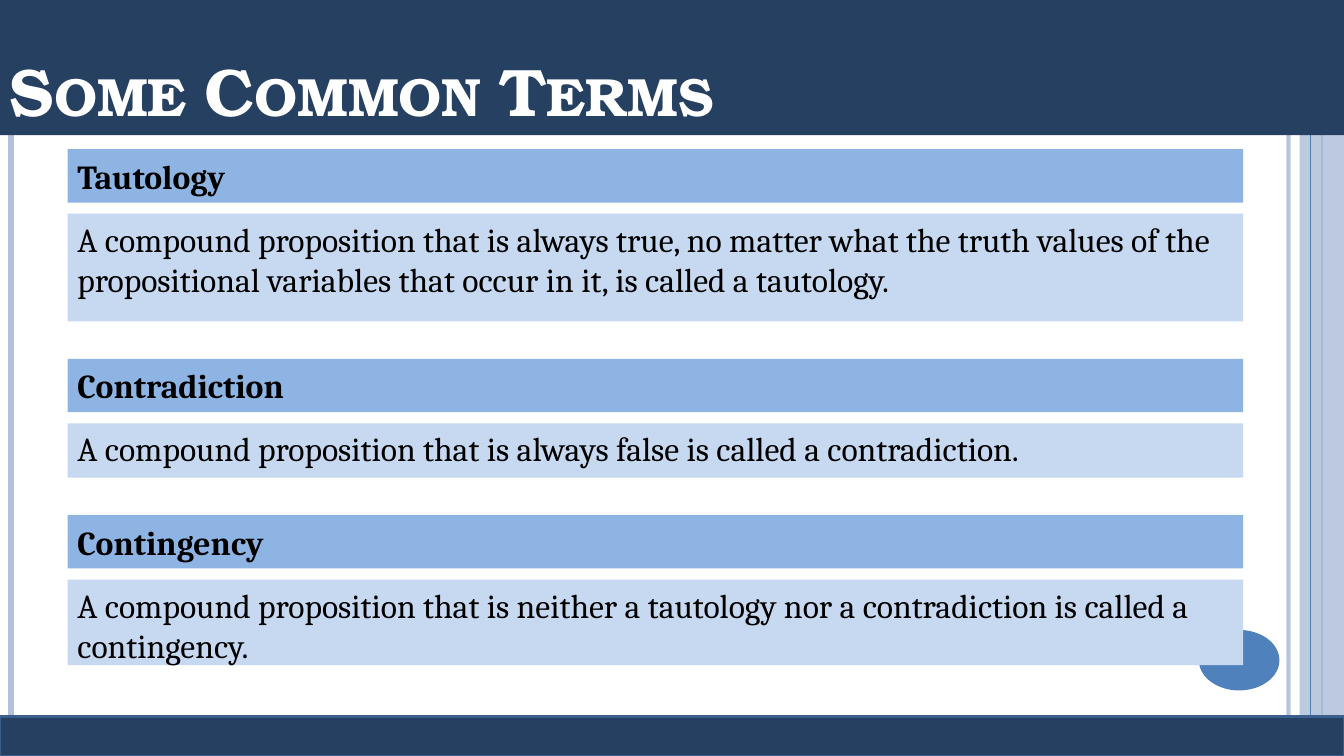
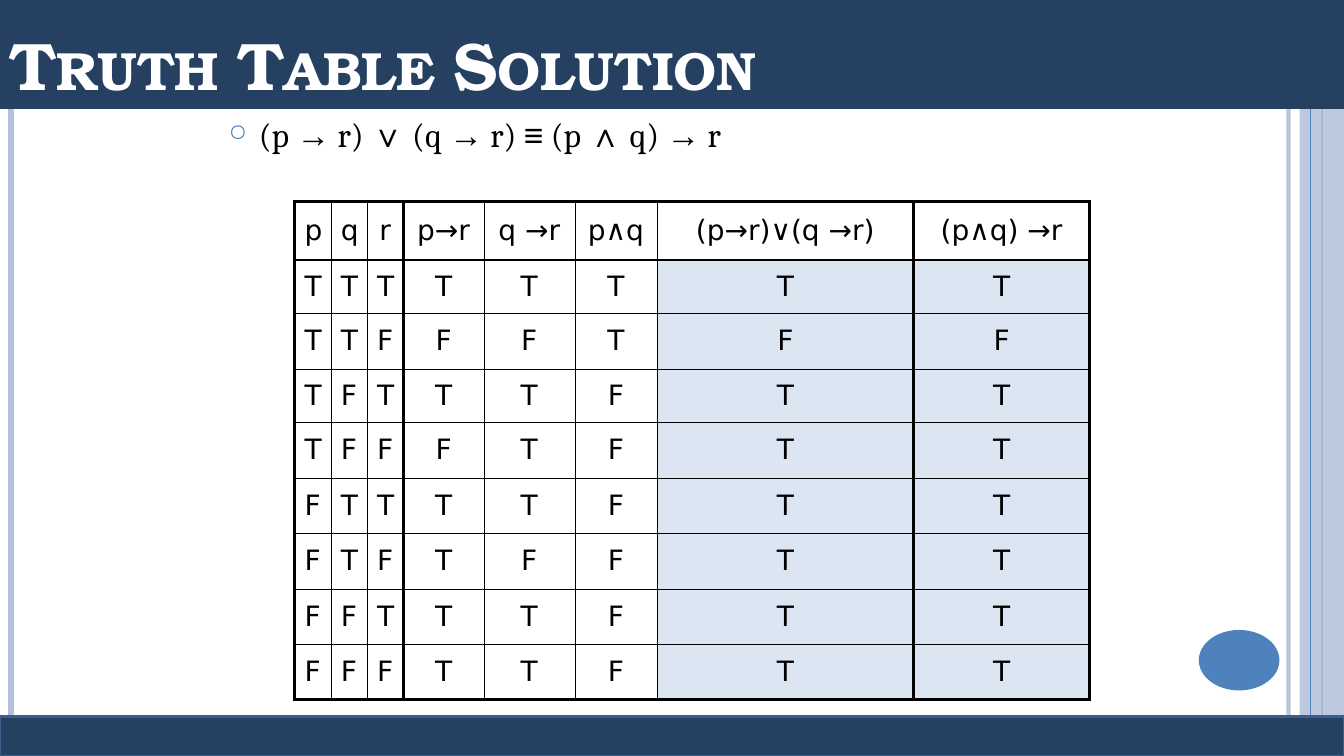
from itertools import groupby, product

from lxml import etree
from pptx import Presentation
from pptx.dml.color import RGBColor
from pptx.enum.shapes import MSO_CONNECTOR, MSO_SHAPE
from pptx.enum.text import MSO_ANCHOR as ANCHOR, PP_ALIGN as ALIGN
from pptx.oxml.ns import qn
from pptx.util import Inches, Pt


def rgb(value):
    return RGBColor.from_string(value)


class Deck:
    WIDTH, HEIGHT = 13.33, 7.5
    NAVY, NAVY_EDGE = "254061", "3A5F8C"
    BLUE, PALE_BLUE = "4F81BD", "B3C1DB"
    HEADING_FILL, BODY_FILL, RESULT_FILL = "8EB4E3", "C6D9F1", "DCE6F2"
    BLACK, WHITE = "000000", "FFFFFF"
    TITLE_FONT, TEXT_FONT = "TeX Gyre Bonum", "Cambria"
    SYMBOL_FONT, TABLE_FONT = "Arial", "DejaVu Sans"
    THICK, THIN = 2.25, 0.25

    def __init__(self):
        self.prs = Presentation()
        self.prs.slide_width = Inches(self.WIDTH)
        self.prs.slide_height = Inches(self.HEIGHT)
        self.s = None

    def new_slide(self, title, title_height):
        self.s = self.prs.slides.add_slide(self.prs.slide_layouts[6])
        self.rule(12.78, self.PALE_BLUE, 3, alpha=93)
        self.rule(0.11, self.PALE_BLUE, 4.5)
        self.rule(13.11, self.BLUE, 1.5)
        self.shape((12.89, 0, 0.44, self.HEIGHT), self.PALE_BLUE, alpha=87)
        self.rule(13, self.BLUE, 0.75)
        self.shape((11.89, 6.25, 0.8, 0.6), self.BLUE, kind=MSO_SHAPE.OVAL)
        band = self.shape((0, 0, self.WIDTH, title_height), self.NAVY)
        p = self.set_text(band, title, ANCHOR.BOTTOM)
        for r in p.runs:
            self.style(r, self.TITLE_FONT, 48, self.WHITE, bold=True)
            r.font._element.set("cap", "small")
        footer = self.shape((0, 7.11, self.WIDTH, 0.39), self.NAVY)
        footer.line.color.rgb = rgb(self.NAVY_EDGE)
        footer.line.width = Pt(2)

    def set_alpha(self, sp, percent):
        for color in sp._element.iter(qn("a:srgbClr")):
            etree.SubElement(color, qn("a:alpha")).set("val", str(percent * 1000))

    def rule(self, x, color, width, alpha=None):
        line = self.s.shapes.add_connector(
            MSO_CONNECTOR.STRAIGHT, Inches(x), 0, Inches(x), Inches(self.HEIGHT))
        line.line.color.rgb = rgb(color)
        line.line.width = Pt(width)
        if alpha:
            self.set_alpha(line, alpha)
        etree.SubElement(line._element.spPr, qn("a:effectLst"))

    def shape(self, box, fill, kind=MSO_SHAPE.RECTANGLE, alpha=None):
        sp = self.s.shapes.add_shape(kind, *map(Inches, box))
        sp.shadow.inherit = False
        sp.fill.solid()
        sp.fill.fore_color.rgb = rgb(fill)
        sp.line.fill.background()
        if alpha:
            self.set_alpha(sp, alpha)
        return sp

    def set_text(self, sp, text, anchor=ANCHOR.TOP):
        tf = sp.text_frame
        tf.word_wrap = True
        tf.vertical_anchor = anchor
        tf.text = text
        p = tf.paragraphs[0]
        p.alignment = ALIGN.LEFT
        return p

    def style(self, r, name, size, color=BLACK, bold=False):
        r.font.name = name
        r.font.size = Pt(size)
        r.font.bold = bold
        r.font.color.rgb = rgb(color)

    def panel(self, top, height, fill, text, bold=False):
        p = self.set_text(self.shape((0.67, top, 11.66, height), fill), text)
        if bold:
            p.line_spacing = 1.04
        self.style(p.runs[0], self.TEXT_FONT, 24, bold=bold)

    def definitions(self, top, terms):
        for term, meaning, height in terms:
            self.panel(top, 0.53, self.HEADING_FILL, term, bold=True)
            self.panel(top + 0.64, height, self.BODY_FILL, meaning)
            top += 0.64 + height + 0.37

    def bullet(self, box, text):
        tb = self.s.shapes.add_textbox(*map(Inches, box))
        p = self.set_text(tb, "")
        pPr = p._p.get_or_add_pPr()
        pPr.set("marL", str(Inches(0.3)))
        pPr.set("indent", str(Inches(-0.3)))
        color = etree.SubElement(pPr, qn("a:buClr"))
        etree.SubElement(color, qn("a:srgbClr")).set("val", self.BLUE)
        etree.SubElement(pPr, qn("a:buSzPct")).set("val", "70000")
        etree.SubElement(pPr, qn("a:buChar")).set("char", "○")
        for is_plain, chars in groupby(text, str.isascii):
            r = p.add_run()
            r.text = "".join(chars)
            self.style(r, self.TEXT_FONT if is_plain else self.SYMBOL_FONT, 24)

    def border(self, cell, side, width):
        ln = etree.SubElement(cell._tc.get_or_add_tcPr(), qn(f"a:ln{side}"))
        ln.set("w", str(Pt(width)))
        fill = etree.SubElement(ln, qn("a:solidFill"))
        etree.SubElement(fill, qn("a:srgbClr")).set("val", self.BLACK)

    def table(self, left, top, widths, heights, rows, thick_cols, thick_rows, shaded_from):
        frame = self.s.shapes.add_table(
            len(rows), len(widths), Inches(left), Inches(top),
            Inches(sum(widths)), Inches(sum(heights)))
        table = frame.table
        table.first_row = table.horz_banding = False
        for column, width in zip(table.columns, widths):
            column.width = Inches(width)
        for row, height in zip(table.rows, heights):
            row.height = Inches(height)
        for i, values in enumerate(rows):
            for j, text in enumerate(values):
                cell = table.cell(i, j)
                cell.vertical_anchor = ANCHOR.MIDDLE
                cell.text = text
                p = cell.text_frame.paragraphs[0]
                p.alignment = ALIGN.CENTER
                self.style(p.runs[0], self.TABLE_FONT, 20)
                edges = (("L", j in thick_cols), ("R", j + 1 in thick_cols),
                         ("T", i in thick_rows), ("B", i + 1 in thick_rows))
                for side, thick in edges:
                    self.border(cell, side, self.THICK if thick else self.THIN)
                if i and j >= shaded_from:
                    cell.fill.solid()
                    cell.fill.fore_color.rgb = rgb(self.RESULT_FILL)
                else:
                    cell.fill.background()


def truth_rows():
    rows = [["p", "q", "r", "p→r", "q →r", "p∧q", "(p→r)∨(q →r)", "(p∧q) →r"]]
    for p, q, r in product((True, False), repeat=3):
        p_r, q_r, both = not p or r, not q or r, p and q
        values = (p, q, r, p_r, q_r, both, p_r or q_r, not both or r)
        rows.append(["T" if value else "F" for value in values])
    return rows


def main():
    deck = Deck()

    deck.new_slide("Some Common Terms", 1.34)
    deck.definitions(1.48, [
        ("Tautology",
         "A compound proposition that is always true, no matter what the truth values "
         "of the propositional variables that occur in it, is called a tautology.", 1.07),
        ("Contradiction",
         "A compound proposition that is always false is called a contradiction.", 0.54),
        ("Contingency",
         "A compound proposition that is neither a tautology nor a contradiction "
         "is called a contingency.", 0.85),
    ])

    deck.new_slide("Truth Table Solution", 1.08)
    deck.bullet((2.17, 1.08, 9, 0.6), "(p → r) ∨ (q → r) ≡ (p ∧ q) → r")
    deck.table(
        2.92, 2,
        widths=[0.36] * 3 + [0.8, 0.9, 0.82, 2.54, 1.75],
        heights=[0.58, 0.53, 0.55, 0.53] + [0.55] * 5,
        rows=truth_rows(),
        thick_cols=(0, 3, 7, 8), thick_rows=(0, 1, 9), shaded_from=6)

    deck.prs.save("out.pptx")


if __name__ == "__main__":
    main()
